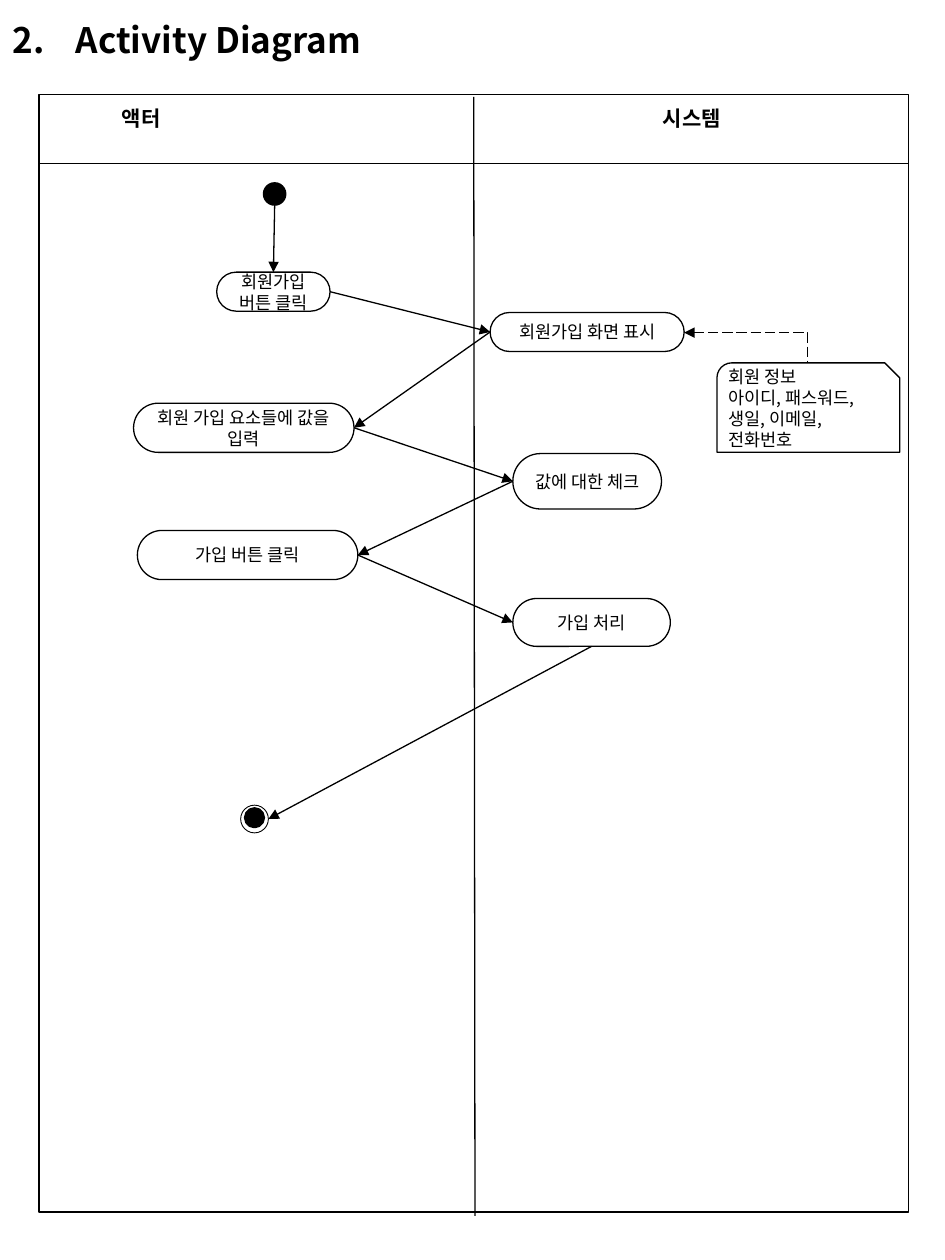
from pptx import Presentation
from pptx.dml.color import RGBColor
from pptx.enum.dml import MSO_LINE as Dash
from pptx.enum.shapes import MSO_CONNECTOR as Link, MSO_SHAPE as Shape
from pptx.enum.text import MSO_ANCHOR as Anchor, MSO_AUTO_SIZE as Fit, PP_ALIGN as Align
from pptx.oxml.ns import qn
from pptx.util import Inches, Pt
from lxml.etree import SubElement as add_tag

BLACK = RGBColor(0x00, 0x00, 0x00)
FONT = "Noto Sans CJK KR"
COLS, ROWS = 75, 100
WIDE, HIGH = Inches(7.5), Inches(10)
TOP, LEFT, BOTTOM, RIGHT = range(4)


class Page:
    """Style and current slide; lengths are columns and rows of the grid."""

    def __init__(self, deck):
        self.slide = deck.slides.add_slide(deck.slide_layouts[5])
        self.shapes = self.slide.shapes

    def grid(self, x, y):
        return int(WIDE * x / COLS), int(HIGH * y / ROWS)

    def box(self, x, y, w, h):
        return *self.grid(x, y), *self.grid(w, h)

    def put_run(self, para, text, size, bold=False):
        run = para.add_run()
        run.text = text
        font = run.font
        font.name, font.size, font.bold = FONT, Pt(size), bold
        font.color.rgb = BLACK
        add_tag(font._element, qn("a:ea"), typeface=FONT)

    def stroke(self, line, width=0.75):
        line.color.rgb = BLACK
        line.width = Pt(width)

    def title(self, text, number, *area):
        item = self.shapes.title
        item.left, item.top, item.width, item.height = self.box(*area)
        frame = item.text_frame
        frame.vertical_anchor, frame.auto_size = Anchor.TOP, Fit.NONE
        para = frame.paragraphs[0]
        para.alignment, para.line_spacing = Align.LEFT, Pt(30)
        props = para._p.get_or_add_pPr()
        indent = Inches(0.5)
        props.set("marL", str(indent))
        props.set("indent", str(-indent))
        tint = add_tag(props, qn("a:buClr"))
        add_tag(tint, qn("a:srgbClr"), val=str(BLACK))
        add_tag(props, qn("a:buFont"), typeface=FONT)
        add_tag(props, qn("a:buAutoNum"), type="arabicPeriod", startAt=str(number))
        self.put_run(para, text, 20, True)

    def label(self, text, align, *area):
        frame = self.shapes.add_textbox(*self.box(*area)).text_frame
        frame.word_wrap = True
        para = frame.paragraphs[0]
        para.alignment = align
        self.put_run(para, text, 12, True)

    def shape(self, kind, *area, fill=None, width=0.75):
        item = self.shapes.add_shape(kind, *self.box(*area))
        item.shadow.inherit = False
        if fill is None:
            item.fill.background()
        else:
            item.fill.solid()
            item.fill.fore_color.rgb = fill
        self.stroke(item.line, width)
        return item

    def fill_text(self, item, lines, align):
        frame = item.text_frame
        frame.word_wrap, frame.vertical_anchor = True, Anchor.MIDDLE
        for i, text in enumerate(lines):
            para = frame.add_paragraph() if i else frame.paragraphs[0]
            para.alignment = align
            self.put_run(para, text, 10)
        return frame

    def step(self, text, *area):
        item = self.shape(Shape.ROUNDED_RECTANGLE, *area)
        item.adjustments[0] = 0.5
        self.fill_text(item, [text], Align.CENTER)
        return item

    def note(self, lines, *area):
        item = self.shape(Shape.SNIP_ROUND_RECTANGLE, *area)
        frame = self.fill_text(item, lines, Align.LEFT)
        frame.margin_left, frame.margin_right = Inches(0.06), Inches(0.04)
        frame.margin_top = Inches(0.02)

    def line(self, start, end, kind=Link.STRAIGHT, tip=None, dash=None):
        item = self.shapes.add_connector(kind, *self.grid(*start), *self.grid(*end))
        self.stroke(item.line)
        if dash:
            item.line.dash_style = dash
        if tip:
            add_tag(item.line._get_or_add_ln(), qn("a:" + tip), type="triangle")
        add_tag(item._element.spPr, qn("a:effectLst"))
        return item

    def flow(self, first, side, last, other):
        item = self.line((0, 0), (1, 1), tip="tailEnd")
        item.begin_connect(first, side)
        item.end_connect(last, other)

    def elbow(self, tip, corner):
        item = self.line(tip, corner, Link.ELBOW, "headEnd", Dash.LONG_DASH)
        item._element.spPr.find(qn("a:prstGeom")).set("prst", "bentConnector2")


def main():
    deck = Presentation()
    deck.slide_width, deck.slide_height = WIDE, HIGH
    page = Page(deck)
    page.title("Activity Diagram", 2, 0, 0.1, 71.7, 5.2)

    # Swimlanes
    page.shape(Shape.RECTANGLE, 3.1, 7.5, 69, 88.7)
    page.line((3.2, 13), (72.1, 13))
    page.line((37.6, 7.7), (37.7, 96.5))
    page.label("액터", Align.LEFT, 8.7, 7.9, 24, 3)
    page.label("시스템", Align.CENTER, 42.9, 7.9, 24, 3)

    # Start and end marks
    page.shape(Shape.OVAL, 21, 14.6, 1.6, 1.6, fill=BLACK, width=2)
    page.shape(Shape.OVAL, 19.1, 63.9, 2.2, 2.2, width=0.5)
    page.shape(Shape.OVAL, 19.5, 64.2, 1.4, 1.4, fill=BLACK, width=2)

    # Steps, in order of flow
    join = page.step("회원가입 버튼 클릭", 17.2, 21.6, 9, 3.1)
    form = page.step("회원가입 화면 표시", 38.9, 24.8, 15.4, 3.1)
    entry = page.step("회원 가입 요소들에 값을 입력", 10.6, 32, 17.5, 3.9)
    check = page.step("값에 대한 체크", 40.7, 36, 11.8, 4.4)
    send = page.step("가입 버튼 클릭", 10.9, 42.1, 17.5, 3.9)
    save = page.step("가입 처리", 40.7, 47.5, 12.5, 3.8)

    # Note on the form
    page.note(["회원 정보", "아이디, 패스워드, 생일, 이메일, 전화번호"], 56.9, 28.8, 14.5, 7.1)
    page.elbow((54.3, 26.4), (64.1, 28.8))

    # Arrows between the lanes
    steps = [join, form, entry, check, send, save]
    for i, (first, last) in enumerate(zip(steps, steps[1:])):
        page.flow(first, LEFT if i % 2 else RIGHT, last, RIGHT if i % 2 else LEFT)
    begin = page.line((21.8, 16.3), (21.8, 21.6), tip="tailEnd")
    begin.end_connect(join, TOP)
    finish = page.line((47, 51.4), (21.3, 65), tip="tailEnd")
    finish.begin_connect(save, BOTTOM)

    deck.save("out.pptx")


if __name__ == "__main__":
    main()
